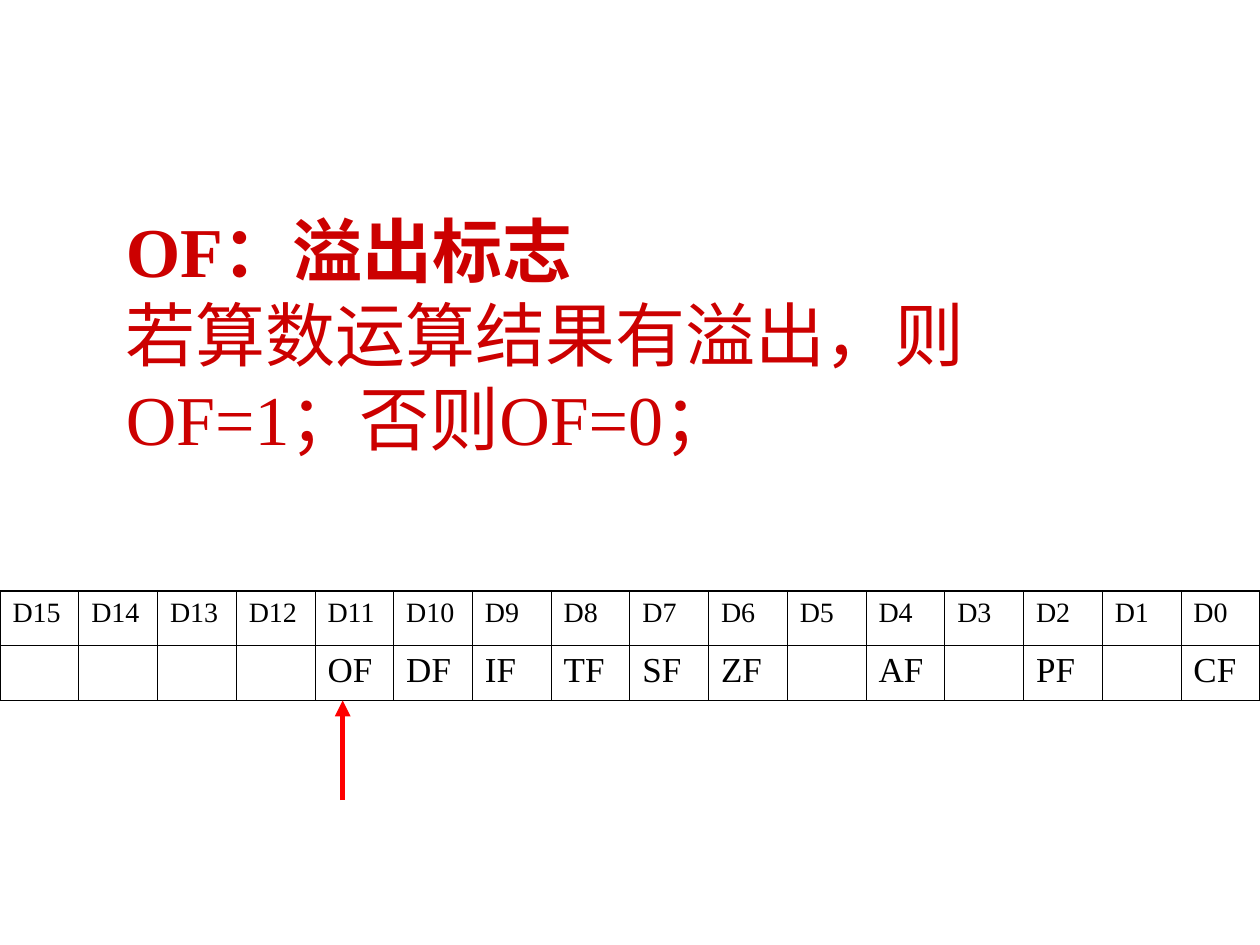
from lxml import etree
from pptx import Presentation
from pptx.dml.color import RGBColor
from pptx.enum.shapes import MSO_CONNECTOR as CONN
from pptx.enum.text import MSO_ANCHOR as ANCHOR
from pptx.oxml import parse_xml
from pptx.oxml.ns import nsdecls, qn
from pptx.util import Inches, Pt


def rgb(color):
    return RGBColor.from_string(color)


def add_run(p, text, size, color, bold=False):
    r = p.add_run()
    r.text = text
    r.font.name = "Times New Roman"
    r.font.size = Pt(size)
    r.font.bold = bold
    r.font.color.rgb = rgb(color)


prs = Presentation()
prs.slide_width, prs.slide_height = Inches(10), Inches(7.5)
W = prs.slide_width
s = prs.slides.add_slide(prs.slide_layouts[6])

# Heading and explanation
tf = s.shapes.add_textbox(Inches(0.9), Inches(2.02), Inches(8.5), Inches(1.25)).text_frame
tf.word_wrap = True
tf.vertical_anchor = ANCHOR.MIDDLE
p = tf.paragraphs[0]
add_run(p, "OF：溢出标志", 40, "CC0000", bold=True)
p.add_line_break()
add_run(p, "若算数运算结果有溢出，则OF=1；否则OF=0；", 40, "CC0000")

# Flag register: bit numbers above flag names
bits = [f"D{n}" for n in range(15, -1, -1)]
flags = [""] * 4 + ["OF", "DF", "IF", "TF", "SF", "ZF", "", "AF", "", "PF", "", "CF"]
rows = [(bits, 16, 0.43), (flags, 20, 0.44)]
top, last_col, last_row = Inches(4.69), len(bits) - 1, len(rows) - 1
table = s.shapes.add_table(len(rows), len(bits), 0, top, W, Inches(0.87)).table
table.first_row = table.horz_banding = False
for col in table.columns:
    col.width = W // len(bits)

for i, (names, size, height) in enumerate(rows):
    table.rows[i].height = Inches(height)
    for j, name in enumerate(names):
        cell = table.cell(i, j)
        cell.fill.solid()
        cell.fill.fore_color.rgb = rgb("FFFFFF")
        if name:
            add_run(cell.text_frame.paragraphs[0], name, size, "000000")
        # Outer edges are heavier than inner ones
        edges = {"lnL": j == 0, "lnR": j == last_col, "lnT": i == 0, "lnB": i == last_row}
        for k, (tag, outer) in enumerate(edges.items()):
            cell._tc.get_or_add_tcPr().insert(k, parse_xml(
                f'<a:{tag} {nsdecls("a")} w="{Pt(1.08 if outer else 0.45)}">'
                f'<a:solidFill><a:srgbClr val="000000"/></a:solidFill></a:{tag}>'))

# Arrow pointing up at the OF column
x = Inches(2.72)
arrow = s.shapes.add_connector(CONN.STRAIGHT, x, Inches(6.35), x, Inches(5.56))
arrow.line.color.rgb = rgb("FF0000")
arrow.line.width = Pt(3)
etree.SubElement(arrow.line._get_or_add_ln(), qn("a:tailEnd"), type="triangle")
etree.SubElement(arrow._element.spPr, qn("a:effectLst"))

prs.save("out.pptx")
